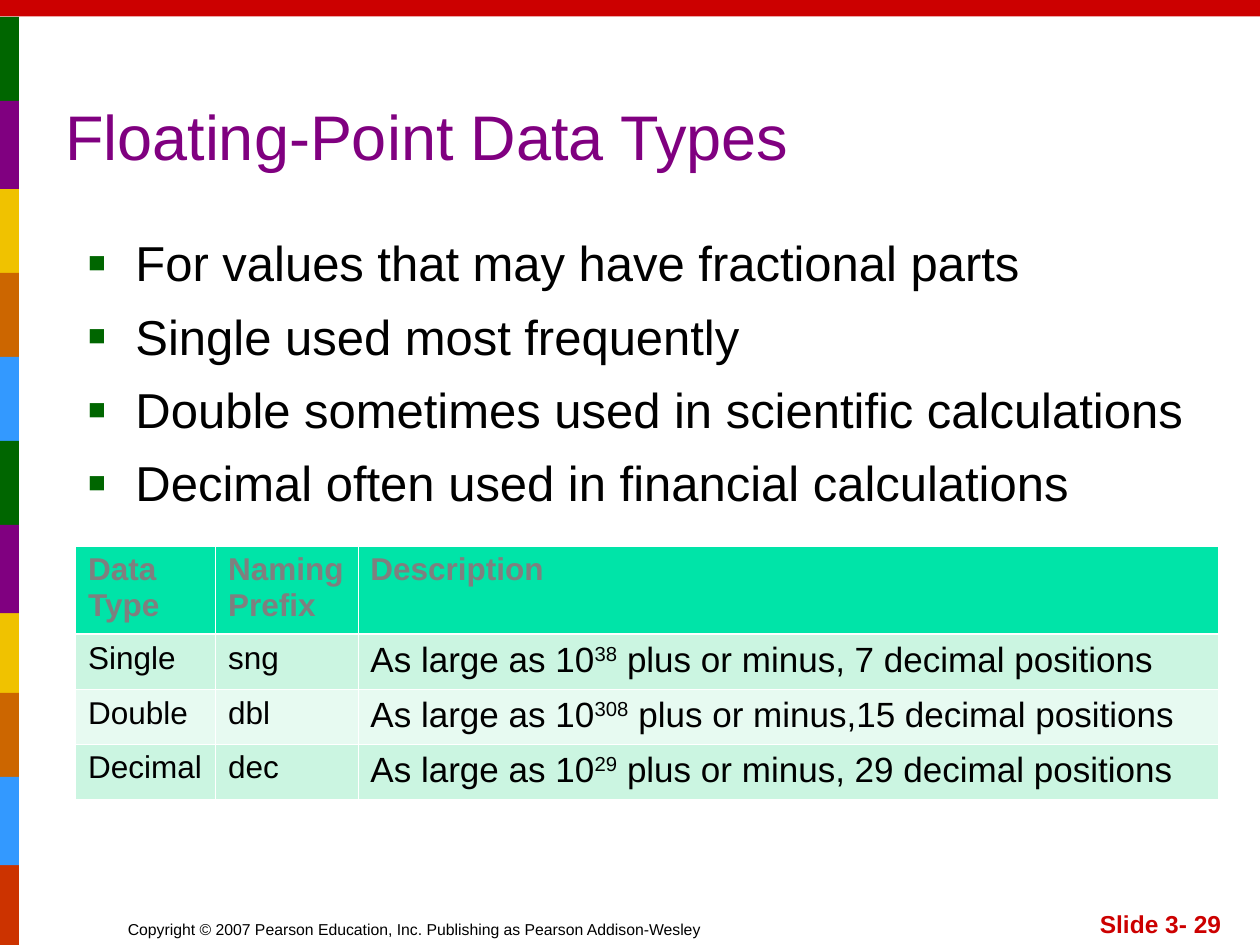
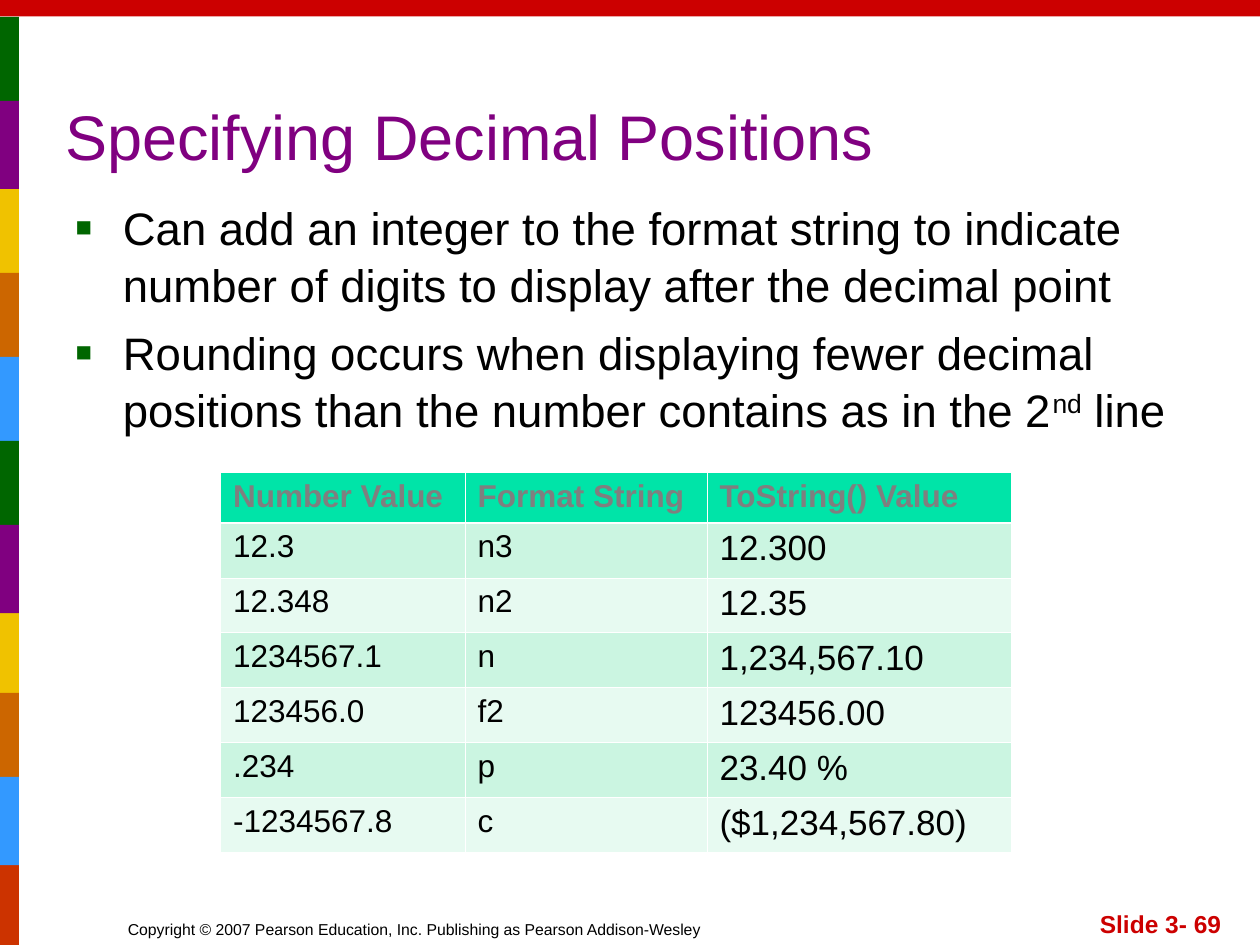
"""Build two slides on decimal data types, each with a bullet list and a table."""
from lxml import etree
from pptx import Presentation, util as u
from pptx.dml.color import RGBColor
from pptx.enum import shapes, text
from pptx.oxml.ns import qn

COLOURS = {
    "red": "CC0000", "brick": "CC3300", "gold": "F0C200", "green": "006600",
    "purple": "800080", "orange": "CC6600", "blue": "3399FF", "black": "000000",
    "white": "FFFFFF", "grey": "7F7F7F", "header": "00E4A8",
    "dark band": "CBF5E1", "light band": "E7FAF1",
}
FONT = "Arial"
STRIPES = ["green", "purple", "gold", "orange", "blue"] * 2 + ["brick"]
STRIPE_TOPS = [9.6, 57.6, *range(108, 445, 48), 489.6]
STRIPES_BEHIND = ("brick", "gold")
COPYRIGHT = "Copyright © 2007 Pearson Education, Inc. Publishing as Pearson Addison-Wesley"


def rgb(name):
    return RGBColor.from_string(COLOURS[name])


def style_font(para, size, colour, bold=False):
    font = para.font
    font.name, font.size, font.bold = FONT, u.Pt(size), bold
    font.color.rgb = rgb(colour)


def write_spans(para, wording):
    """Fill a paragraph, raising the parts that stand between carets."""
    for index, part in enumerate(wording.split("^")):
        span = para.add_run()
        span.text = part
        if index % 2:
            span._r.get_or_add_rPr().set("baseline", "30000")


def place(shape, left, top, width, height):
    shape.left, shape.top = u.Pt(left), u.Pt(top)
    shape.width, shape.height = u.Pt(width), u.Pt(height)


def add_bar(target, colour, left, top, width, height):
    bar = target.add_shape(shapes.MSO_SHAPE.RECTANGLE, u.Pt(left), u.Pt(top),
                           u.Pt(width), u.Pt(height))
    bar.shadow.inherit = False
    bar.fill.solid()
    bar.fill.fore_color.rgb = rgb(colour)
    bar.line.fill.background()


def add_footer(page, wording, left, width, size, colour, bold, align):
    box = page.shapes.add_textbox(u.Pt(left), u.Pt(504), u.Pt(width), u.Pt(36))
    frame = box.text_frame
    frame.word_wrap = True
    frame.vertical_anchor = text.MSO_ANCHOR.BOTTOM
    para = frame.paragraphs[0]
    para.alignment = align
    write_spans(para, wording)
    style_font(para, size, colour, bold)


def add_page(deck, title, number):
    """Add a slide with the shared bands, footers and title."""
    page = deck.slides.add_slide(deck.slide_layouts[1])
    add_bar(page.shapes, "red", 0, 0, 720, 9.36)
    stripes = page.shapes.add_group_shape()
    for colour, top in sorted(zip(STRIPES, STRIPE_TOPS),
                              key=lambda stripe: stripe[0] not in STRIPES_BEHIND):
        add_bar(stripes.shapes, colour, 0, top, 10.8, 50.4)
    add_footer(page, COPYRIGHT, 66, 354, 9, "black", False, text.PP_ALIGN.LEFT)
    add_footer(page, f"Slide 3- {number}", 555, 150, 14, "red", True, text.PP_ALIGN.RIGHT)
    heading = page.shapes.title
    place(heading, 30, 24, 610, 78.3)
    frame = heading.text_frame
    frame.auto_size = text.MSO_AUTO_SIZE.NONE
    frame.vertical_anchor = text.MSO_ANCHOR.BOTTOM
    para = frame.paragraphs[0]
    para.alignment = text.PP_ALIGN.LEFT
    write_spans(para, title)
    style_font(para, 36, "purple")
    return page


def add_bullet(para):
    properties = para._p.get_or_add_pPr()
    properties.set("marL", str(u.Pt(27)))
    properties.set("indent", str(u.Pt(-27)))
    colour = etree.SubElement(properties, qn("a:buClr"))
    etree.SubElement(colour, qn("a:srgbClr"), val=COLOURS["green"])
    etree.SubElement(properties, qn("a:buSzPct"), val="60000")
    etree.SubElement(properties, qn("a:buFont"), typeface=FONT)
    etree.SubElement(properties, qn("a:buChar"), char="■")


def fill_list(page, items, bounds, size):
    body = page.placeholders[1]
    place(body, *bounds)
    frame = body.text_frame
    frame.auto_size = text.MSO_AUTO_SIZE.NONE
    frame.margin_right = 0
    for index, item in enumerate(items):
        para = frame.add_paragraph() if index else frame.paragraphs[0]
        add_bullet(para)
        para.line_spacing = 1.04
        para.space_before = u.Pt(size / 4 if index else 0)
        write_spans(para, item)
        style_font(para, size, "black")


def add_borders(cell, row):
    properties = cell._tc.get_or_add_tcPr()
    heavy_side = {0: "B", 1: "T"}.get(row)
    for side in "LRTB":
        width = 1.47 if side == heavy_side else 0.45
        line = etree.SubElement(properties, qn(f"a:ln{side}"), w=str(u.Pt(width)))
        fill = etree.SubElement(line, qn("a:solidFill"))
        etree.SubElement(fill, qn("a:srgbClr"), val=COLOURS["white"])


def add_data_table(page, rows, left, top, widths, header_height):
    """Add a table with a header row, banded rows and a larger last column."""
    heights = [header_height] + [31.4] * (len(rows) - 1)
    table = page.shapes.add_table(len(rows), len(widths), u.Pt(left), u.Pt(top),
                                  u.Pt(sum(widths)), u.Pt(sum(heights))).table
    for column, width in zip(table.columns, widths):
        column.width = u.Pt(width)
    for row, (wordings, height) in enumerate(zip(rows, heights)):
        table.rows[row].height = u.Pt(height)
        band = "header" if row == 0 else "dark band" if row % 2 else "light band"
        for column, wording in enumerate(wordings):
            cell = table.cell(row, column)
            add_borders(cell, row)
            cell.fill.solid()
            cell.fill.fore_color.rgb = rgb(band)
            para = cell.text_frame.paragraphs[0]
            write_spans(para, wording)
            size = 20 if row and column == len(widths) - 1 else 18
            style_font(para, size, "black" if row else "grey", row == 0)


def main():
    deck = Presentation()
    deck.slide_width, deck.slide_height = u.Pt(720), u.Pt(540)

    page = add_page(deck, "Floating-Point Data Types", 29)
    fill_list(page, [
        "For values that may have fractional parts",
        "Single used most frequently",
        "Double sometimes used in scientific calculations",
        "Decimal often used in financial calculations",
    ], (43.2, 128, 653, 162), 28)
    add_data_table(page, [
        ("Data Type", "Naming Prefix", "Description"),
        ("Single", "sng", "As large as 10^38^ plus or minus, 7 decimal positions"),
        ("Double", "dbl", "As large as 10^308^ plus or minus,15 decimal positions"),
        ("Decimal", "dec", "As large as 10^29^ plus or minus, 29 decimal positions"),
    ], 43.2, 312, (80, 81.3, 491.7), 50.2)

    page = add_page(deck, "Specifying Decimal Positions", 69)
    fill_list(page, [
        "Can add an integer to the format string to indicate number of digits "
        "to display after the decimal point",
        "Rounding occurs when displaying fewer decimal positions than the number "
        "contains as in the 2^nd^ line",
    ], (36, 109.5, 666, 144), 26)
    add_data_table(page, [
        ("Number Value", "Format String", "ToString() Value"),
        ("12.3", "n3", "12.300"),
        ("12.348", "n2", "12.35"),
        ("1234567.1", "n", "1,234,567.10"),
        ("123456.0", "f2", "123456.00"),
        (".234", "p", "23.40 %"),
        ("-1234567.8", "c", "($1,234,567.80)"),
    ], 126, 270, (139.8, 138.2, 174), 28.8)

    deck.save("out.pptx")


if __name__ == "__main__":
    main()
